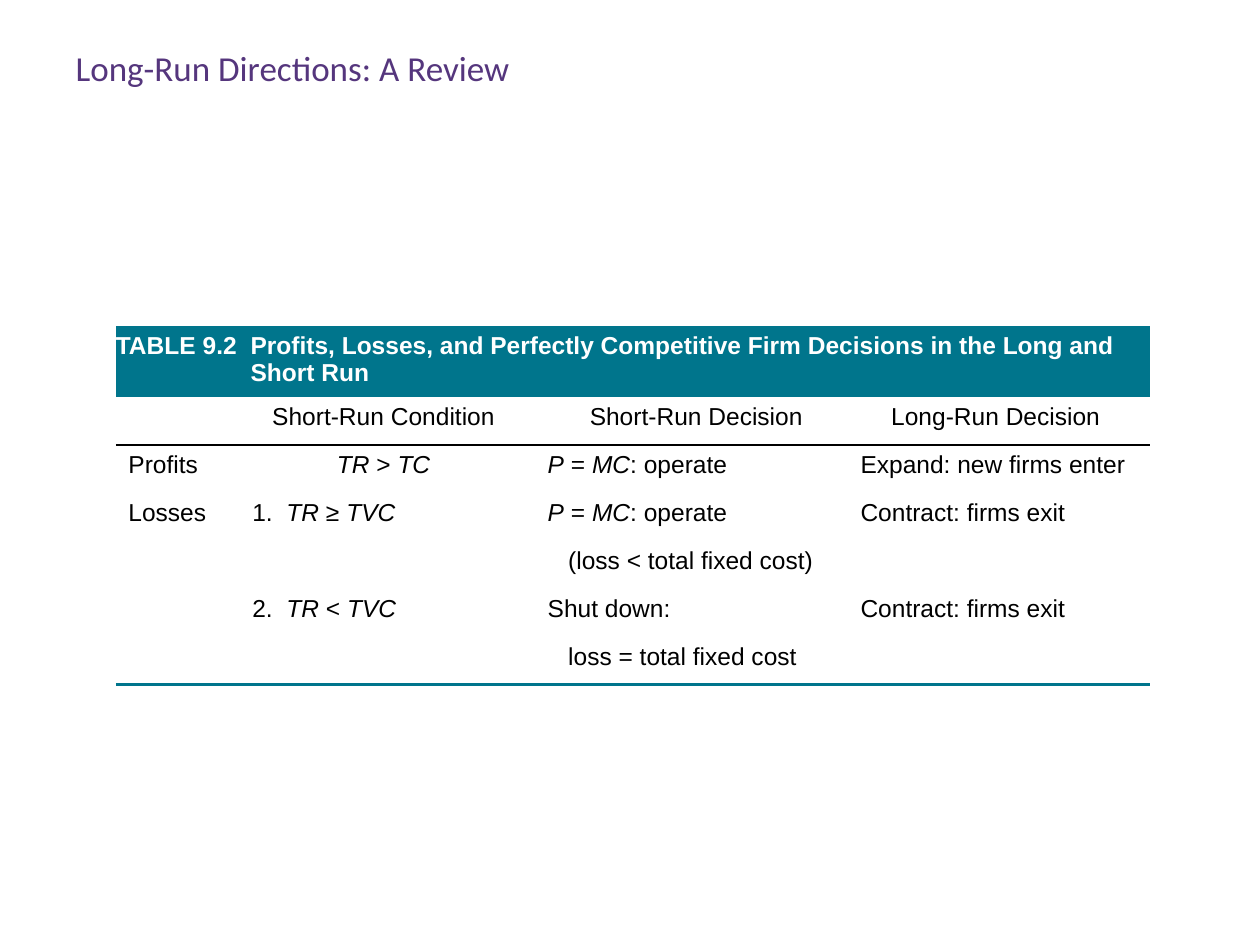
"""Builds the slide that reviews long-run directions, with a table of firm decisions."""
from lxml import etree
from pptx import Presentation
from pptx.dml.color import RGBColor
from pptx.enum import text as t
from pptx.oxml import parse_xml
from pptx.oxml.ns import nsdecls, qn
from pptx.util import Pt

TEAL = RGBColor(0x00, 0x75, 0x8C)
PURPLE = RGBColor(0x55, 0x36, 0x7D)
BLACK = RGBColor(0, 0, 0)
WHITE = RGBColor(255, 255, 255)
PLAIN = "{2D5ABB26-0587-4C30-8999-92F81FD0307C}"

WIDTHS = [60, 18, 150, 2.3, 16, 162, 3, 3, 176.1]
HEIGHTS = [40.6] + [27.4] * 6
LABEL, COND, SHORT, LONG = 0, 2, 5, 8
LEFTS = {LABEL: 7.2, COND: 0, SHORT: 0, LONG: 10.8}
HANG, STEP = 19.5, 11.7
HEADS = {COND: "Short-Run Condition", SHORT: "Short-Run Decision", LONG: "Long-Run Decision"}
ROWS = [
    {LABEL: "Profits", COND: "*TR* > *TC*", SHORT: "*P* = *MC*: operate",
     LONG: "Expand: new firms enter"},
    {LABEL: "Losses", COND: "1.\t*TR* ≥ *TVC*", SHORT: "*P* = *MC*: operate",
     LONG: "Contract: firms exit"},
    {SHORT: "(loss < total fixed cost)"},
    {COND: "2.\t*TR* < *TVC*", SHORT: "Shut down:", LONG: "Contract: firms exit"},
    {SHORT: "loss = total fixed cost"},
]


def write(cell, words, color=BLACK, bold=False, left=0, indent=0, first=0):
    """Fills a cell; words between asterisks are italic."""
    cell.margin_left, cell.margin_right = Pt(left), 0
    cell.margin_top = cell.margin_bottom = Pt(3.6)
    para = cell.text_frame.paragraphs[0]
    props = para._p.get_or_add_pPr()
    props.set("marL", str(Pt(indent)))
    props.set("indent", str(Pt(first)))
    para.font.size = Pt(14)
    for i, part in enumerate(words.split("*")):
        if part:
            run = para.add_run()
            run.text = part
            font = run.font
            font.name, font.size, font.bold, font.italic = "Arial", Pt(14), bold, i % 2 == 1
            font.color.rgb = color
    return para


def rule(row, color, width):
    """Draws a line under every cell of a row."""
    for cell in row.cells:
        cell._tc.get_or_add_tcPr().insert(0, parse_xml(
            f'<a:lnB {nsdecls("a")} w="{Pt(width)}"><a:solidFill>'
            f'<a:srgbClr val="{color}"/></a:solidFill></a:lnB>'))


prs = Presentation()
prs.slide_width, prs.slide_height = Pt(720), Pt(540)
slide = prs.slides.add_slide(prs.slide_layouts[5])

title = slide.shapes.title
title.left, title.top, title.width, title.height = Pt(36), Pt(23), Pt(504), Pt(30)
frame = title.text_frame
frame.text = "Long-Run Directions: A Review"
frame.auto_size = t.MSO_AUTO_SIZE.NONE
frame.vertical_anchor = t.MSO_ANCHOR.TOP
para = frame.paragraphs[0]
para.alignment = t.PP_ALIGN.LEFT
font = para.runs[0].font
font.name, font.size, font.color.rgb = "Calibri", Pt(20), PURPLE

holder = slide.shapes.add_table(len(HEIGHTS), len(WIDTHS), Pt(66.2), Pt(186.2),
                                Pt(sum(WIDTHS)), Pt(sum(HEIGHTS)))
table = holder.table
table.first_row = table.horz_banding = False
table._tbl.tblPr.find(qn("a:tableStyleId")).text = PLAIN
for col, width in zip(table.columns, WIDTHS):
    col.width = Pt(width)
for row, height in zip(table.rows, HEIGHTS):
    row.height = Pt(height)
    for cell in row.cells:
        cell.fill.background()

band = table.cell(0, 0)
band.merge(table.cell(0, len(WIDTHS) - 1))
band.fill.solid()
band.fill.fore_color.rgb = TEAL
write(band, "TABLE 9.2\tProfits, Losses, and Perfectly Competitive Firm Decisions "
      "in the Long and Short Run", WHITE, True, indent=77, first=-77)

for c in range(len(WIDTHS)):
    para = write(table.cell(1, c), HEADS.get(c, ""), left=7.8 if c == SHORT else 0)
    para.alignment = t.PP_ALIGN.CENTER

for r, line in enumerate(ROWS, 2):
    for c in range(len(WIDTHS)):
        words = line.get(c, "")
        listed = "\t" in words
        sub = c == SHORT and len(line) == 1
        para = write(table.cell(r, c), words, left=LEFTS.get(c, 0),
                     indent=HANG if listed else STEP if sub else 0,
                     first=-HANG if listed else 0)
        if c == COND and not listed:
            para.alignment = t.PP_ALIGN.CENTER

rule(table.rows[1], BLACK, 1)
rule(table.rows[len(HEIGHTS) - 1], TEAL, 2.25)

prs.save("out.pptx")
